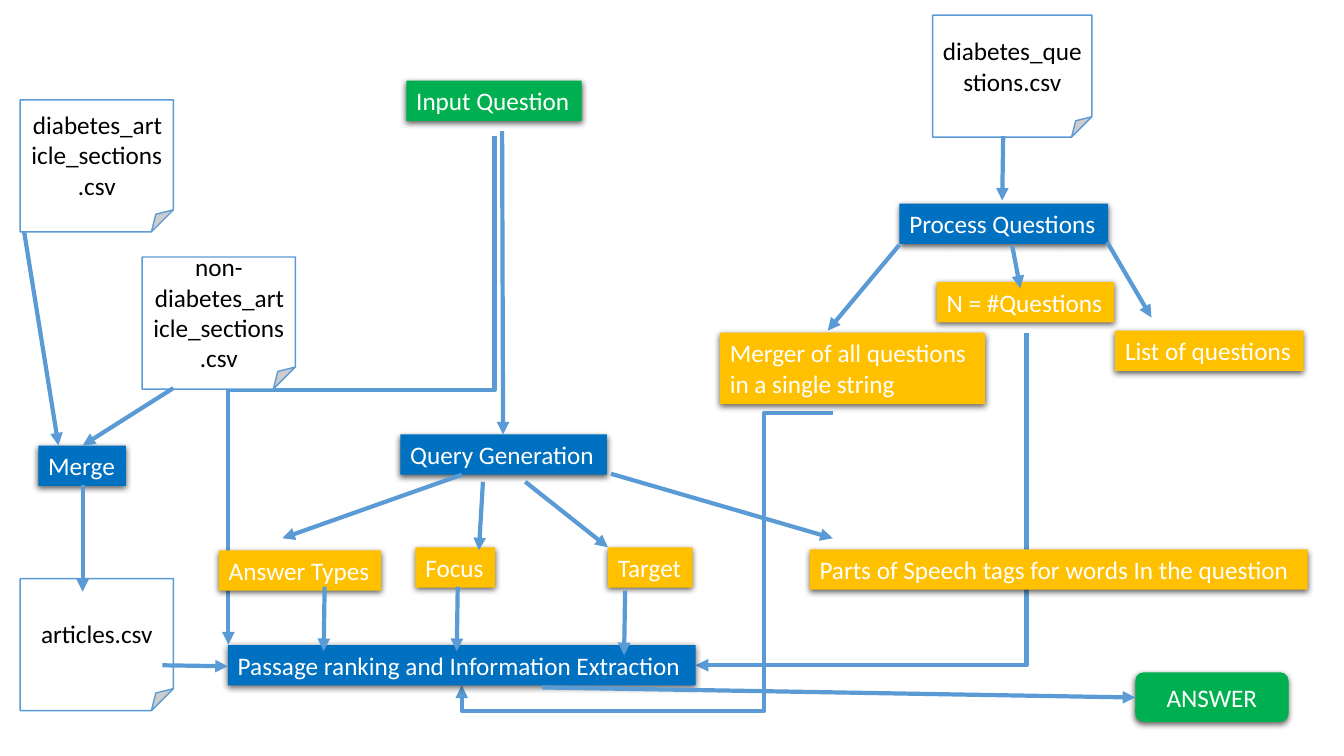
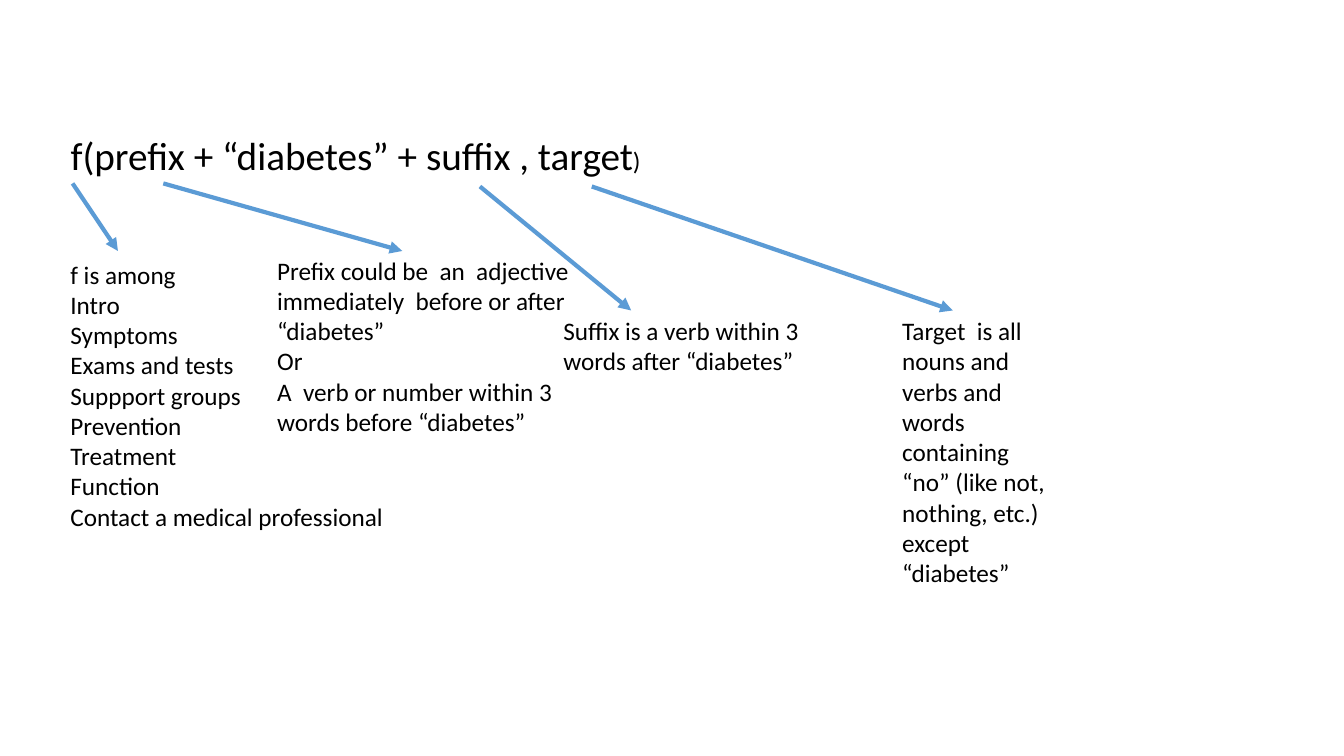
from dataclasses import dataclass

from lxml import etree
from pptx import Presentation
from pptx.dml.color import RGBColor
from pptx.enum.shapes import MSO_CONNECTOR, MSO_SHAPE
from pptx.enum.text import MSO_ANCHOR, MSO_AUTO_SIZE, PP_ALIGN
from pptx.oxml.ns import qn
from pptx.util import Inches, Pt

RECT, ROUNDED = MSO_SHAPE.RECTANGLE, MSO_SHAPE.ROUNDED_RECTANGLE
PAGE = MSO_SHAPE.FOLDED_CORNER
STRAIGHT, ELBOW = MSO_CONNECTOR.STRAIGHT, MSO_CONNECTOR.ELBOW
LEFT, CENTER = PP_ALIGN.LEFT, PP_ALIGN.CENTER
TOP, MIDDLE = MSO_ANCHOR.TOP, MSO_ANCHOR.MIDDLE
FIT_SHAPE, FIXED = MSO_AUTO_SIZE.SHAPE_TO_FIT_TEXT, MSO_AUTO_SIZE.NONE
TITLE_ONLY, BLANK = 5, 6
SLIDE_W, SLIDE_H = Inches(13.33), Inches(7.5)
CELL = SLIDE_H / 75  # square grid: 75 rows, 133.3 columns


@dataclass(frozen=True)
class Theme:
    font: str = "Calibri"
    body: int = 18
    formula: int = 28
    ink: str = "000000"
    paper: str = "FFFFFF"
    arrow: str = "5B9BD5"
    endpoint: str = "00B050"
    process: str = "0070C0"
    result: str = "FFC000"
    page_line: float = 1
    arrow_line: float = 3


THEME = Theme()


def rgb(value):
    return RGBColor.from_string(value)


def write_text(frame, paragraphs, color=THEME.ink, size=THEME.body, align=LEFT,
               anchor=TOP, wrap=True, fit=FIXED):
    """Each paragraph is a string or a list of (text, size) runs."""
    frame.word_wrap, frame.auto_size, frame.vertical_anchor = wrap, fit, anchor
    for index, content in enumerate(paragraphs):
        paragraph = frame.add_paragraph() if index else frame.paragraphs[0]
        paragraph.alignment = align
        runs = [(content, size)] if isinstance(content, str) else content
        for text, run_size in runs:
            run = paragraph.add_run()
            run.text = text
            run.font.name, run.font.size = THEME.font, Pt(run_size)
            run.font.color.rgb = rgb(color)


def cast_shadow(shape):
    effects = shape.element.spPr.find(qn("a:effectLst"))
    shadow = etree.SubElement(effects, qn("a:outerShdw"), blurRad="57150",
                              dist="19050", dir="5400000", algn="ctr", rotWithShape="0")
    black = etree.SubElement(shadow, qn("a:srgbClr"), val=THEME.ink)
    etree.SubElement(black, qn("a:alpha"), val="63000")


class Region:
    """Places parts in grid cells, measured from the region's top left corner."""

    def __init__(self, slide, column=0, row=0):
        self.shapes, self.column, self.row = slide.shapes, column, row

    def point(self, column, row):
        return round((self.column + column) * CELL), round((self.row + row) * CELL)

    def box(self, column, row, width, height):
        return *self.point(column, row), round(width * CELL), round(height * CELL)

    def _shape(self, kind, box, fill):
        shape = self.shapes.add_shape(kind, *self.box(*box))
        shape.shadow.inherit = False
        shape.fill.solid()
        shape.fill.fore_color.rgb = rgb(fill)
        shape.line.fill.background()
        return shape

    def page(self, name, *box):
        page = self._shape(PAGE, box, THEME.paper)
        page.line.color.rgb = rgb(THEME.arrow)
        page.line.width = Pt(THEME.page_line)
        write_text(page.text_frame, [name], align=CENTER, anchor=MIDDLE)

    def label(self, lines, fill, *box):
        label = self._shape(RECT, box, fill)
        cast_shadow(label)
        write_text(label.text_frame, lines, color=THEME.paper, wrap=False, fit=FIT_SHAPE)

    def button(self, name, *box):
        button = self._shape(ROUNDED, box, THEME.endpoint)
        cast_shadow(button)
        write_text(button.text_frame, [name], color=THEME.paper, align=CENTER, anchor=MIDDLE)

    def note(self, lines, *box, wrap=True):
        note = self.shapes.add_textbox(*self.box(*box))
        write_text(note.text_frame, lines, wrap=wrap, fit=FIT_SHAPE)

    def arrow(self, start, end, kind=STRAIGHT):
        arrow = self.shapes.add_connector(kind, *self.point(*start), *self.point(*end))
        arrow.line.color.rgb = rgb(THEME.arrow)
        arrow.line.width = Pt(THEME.arrow_line)
        properties = arrow.element.spPr
        etree.SubElement(properties.find(qn("a:ln")), qn("a:tailEnd"), type="triangle")
        etree.SubElement(properties, qn("a:effectLst"))
        return arrow

    def arrows(self, *ends):
        for start, end in ends:
            self.arrow(start, end)

    def bent_arrow(self, start, end, preset, turn, bends=()):
        """Start and end are corners before the turn, given in degrees."""
        properties = self.arrow(start, end, ELBOW).element.spPr
        properties.find(qn("a:xfrm")).set("rot", str(turn * 60000))
        geometry = properties.find(qn("a:prstGeom"))
        geometry.set("prst", preset)
        adjustments = geometry.find(qn("a:avLst"))
        for number, share in enumerate(bends, 1):
            etree.SubElement(adjustments, qn("a:gd"), name=f"adj{number}",
                             fmla=f"val {round(share * 100000)}")


def draw_long_routes(region):
    # Input question, merged string and question count to passage ranking
    region.bent_arrow((10.6, 25.5), (61.1, 51.9), "bentConnector3", 90)
    region.bent_arrow((45.8, 68), (82.6, 41), "bentConnector4", 180, (0.185, 1.093))
    region.bent_arrow((68.9, 33.1), (101.9, 65.9), "bentConnector2", 90)


def draw_articles(region):
    for name, column, row in (("diabetes_article_sections.csv", 0, 0),
                              ("non-diabetes_article_sections.csv", 12.1, 15.6),
                              ("articles.csv", 0, 47.5)):
        region.page(name, column, row, 15.2, 13.1)
    region.label(["Merge"], THEME.process, 1.8, 34.3, 8.7, 4)
    region.arrows(((0.4, 13.1), (3.8, 34.3)),
                  ((15.2, 28.6), (6.2, 34.3)),
                  ((6.2, 38.2), (6.2, 48.8)))


def draw_questions(region):
    region.page("diabetes_questions.csv", 21.1, 0, 15.8, 12.1)
    region.label(["Process Questions"], THEME.process, 17.8, 18.7, 20.7, 4)
    region.label(["Merger of all questions", "in a single string"],
                 THEME.result, 0, 31.5, 26.3, 7.1)
    region.label(["N = #Questions"], THEME.result, 21.5, 26.5, 17.6, 4)
    region.label(["List of questions"], THEME.result, 39.2, 31.3, 18.7, 4)
    region.arrows(((28.1, 12), (28, 18.4)),
                  ((29, 22.9), (29.8, 27.1)),
                  ((17.8, 22.8), (10.7, 31.3)),
                  ((38.4, 22.5), (42.8, 30)))


def draw_ranking(region):
    region.label(["Passage ranking and Information Extraction"],
                 THEME.process, 0, 0, 46.4, 4)
    region.button("ANSWER", 90, 2.7, 15.2, 4.9)
    region.arrows(((-6.5, 2), (0, 2.1)), ((31.2, 4.2), (90, 5.2)))


def draw_query(region):
    region.label(["Input Question"], THEME.endpoint, 18.6, 0, 17.4, 4)
    region.label(["Query Generation"], THEME.process, 18, 35.1, 20.5, 4)
    for name, column, row, width in (
            ("Answer Types", 0, 46.6, 16.1),
            ("Focus", 19.5, 46.3, 7.9),
            ("Target", 38.6, 46.3, 8.4),
            ("Parts of Speech tags for words In the question", 58.6, 46.5, 49.4)):
        region.label([name], THEME.result, column, row, width, 4)
    # Question to query, then query to its four results
    region.arrows(((28.1, 5), (28.2, 35.1)),
                  ((24.1, 39.1), (6.3, 45.4)),
                  ((26.2, 39.8), (25.8, 46.6)),
                  ((30.4, 39.8), (38.6, 46.3)),
                  ((38.9, 39), (60.9, 45.4)))
    # Results down to passage ranking
    for column, row in ((10.5, 50.2), (23.7, 50.2), (40.3, 50.6)):
        region.arrow((column, row), (column - 0.1, row + 6.4))


def build_pipeline(slide):
    draw_long_routes(Region(slide))
    draw_articles(Region(slide, 2, 9.9))
    draw_questions(Region(slide, 71.4, 1.5))
    draw_ranking(Region(slide, 22.6, 64))
    draw_query(Region(slide, 21.7, 8))


def build_formula(slide):
    region = Region(slide, 6, 12.5)
    # Formula
    title = slide.shapes.title
    title.left, title.top, title.width, title.height = region.box(0, 0, 59.3, 5.7)
    formula = [("f(prefix + “diabetes” + suffix , target", THEME.formula),
               (")", THEME.body)]
    write_text(title.text_frame, [formula], wrap=False, fit=FIT_SHAPE)
    # Meaning of each term
    region.note(["f is among", "Intro", "Symptoms", "Exams and tests", "Suppport groups",
                 "Prevention", "Treatment", "Function", "Contact a medical professional"],
                0, 12.7, 34, 28.3, wrap=False)
    region.note(["Prefix could be  an  adjective immediately  before or after “diabetes”",
                 "Or", "A  verb or number within 3 words before “diabetes”"],
                20.5, 12.3, 34.2, 19.2)
    region.note(["Suffix is a verb within 3", "words after “diabetes”"],
                48.9, 18.3, 26.3, 7.1, wrap=False)
    region.note(["Target  is all nouns and verbs and words containing",
                 "“no” (like not, nothing, etc.) except", "“diabetes”"],
                82.5, 18.3, 17.3, 28.3)
    # Term to meaning
    region.arrows(((1.2, 5.7), (5.7, 12.4)),
                  ((10.2, 5.7), (33.9, 12.4)),
                  ((41.6, 6), (56.6, 18.3)),
                  ((52.7, 6), (88.5, 18.3)))


def main():
    deck = Presentation()
    deck.slide_width, deck.slide_height = SLIDE_W, SLIDE_H
    for layout, build in ((BLANK, build_pipeline), (TITLE_ONLY, build_formula)):
        build(deck.slides.add_slide(deck.slide_layouts[layout]))
    deck.save("out.pptx")


if __name__ == "__main__":
    main()
